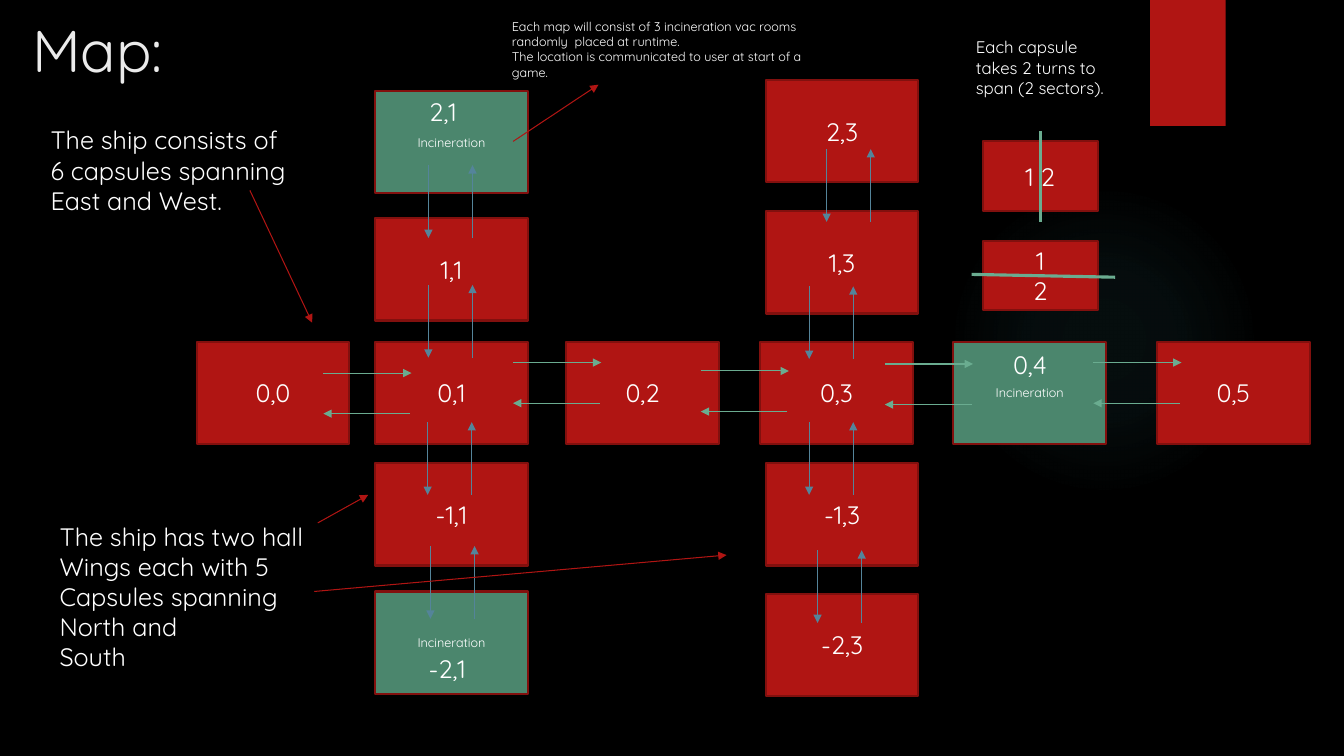
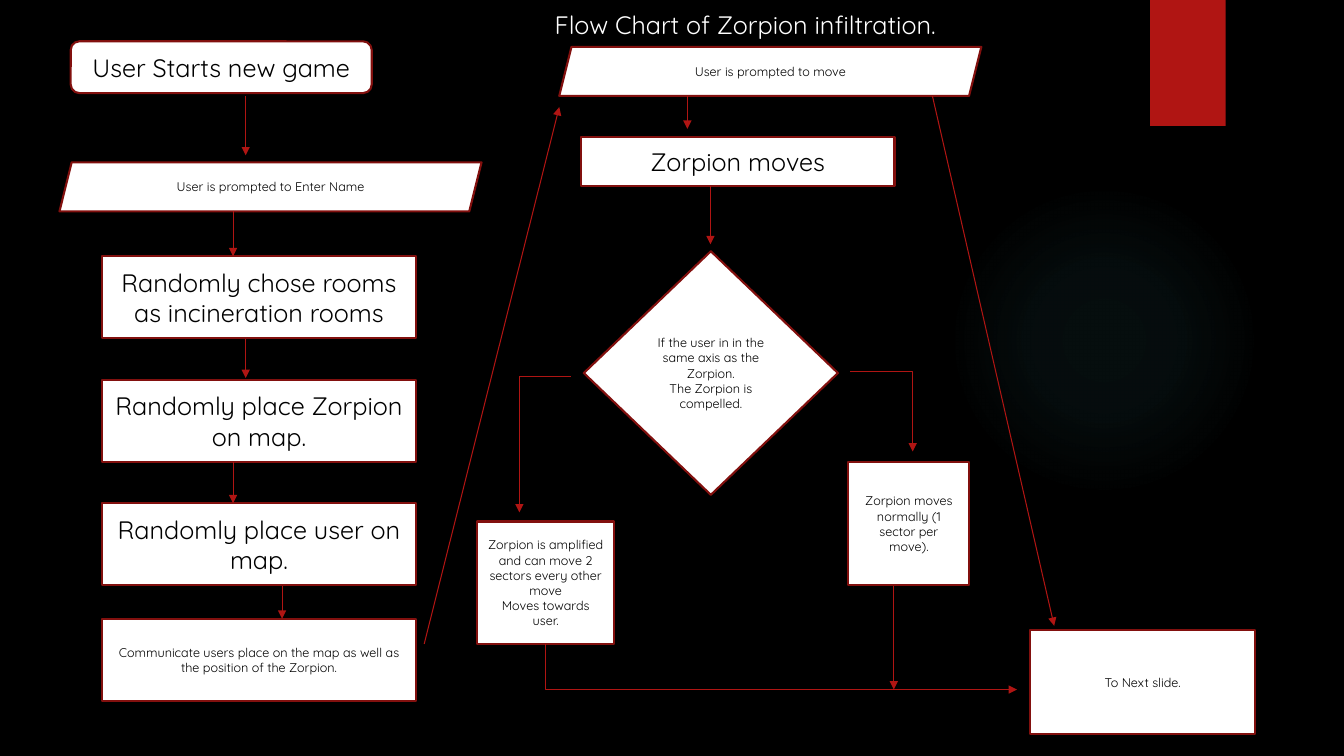
"""Build the ship map slide and the infiltration flow chart slide."""
from lxml import etree
from pptx import Presentation
from pptx.dml.color import RGBColor
from pptx.enum.shapes import MSO_CONNECTOR, MSO_SHAPE
from pptx.enum.text import MSO_ANCHOR, MSO_AUTO_SIZE, PP_ALIGN
from pptx.oxml import parse_xml
from pptx.oxml.ns import nsdecls, qn
from pptx.util import Pt

BLACK = RGBColor(0x00, 0x00, 0x00)
WHITE = RGBColor(0xFF, 0xFF, 0xFF)
TITLE_GREY = RGBColor(0xEB, 0xEB, 0xEB)
RED = RGBColor(0xB0, 0x15, 0x13)
DARK_RED = RGBColor(0x82, 0x10, 0x0E)
GREEN = RGBColor(0x4B, 0x86, 0x6D)
MINT = RGBColor(0x6A, 0xAC, 0x90)
BLUE = RGBColor(0x54, 0x84, 0x9A)
GLOW = RGBColor(0x50, 0xB9, 0xC1)
GLOW_STOPS = ((0, 7), (36, 6), (69, 0))

FONT = "Quicksand"
LARGE, MEDIUM, SMALL = 18, 12, 9
RECT = MSO_SHAPE.RECTANGLE
ROUNDED = MSO_SHAPE.ROUNDED_RECTANGLE
SLANTED = MSO_SHAPE.PARALLELOGRAM
DIAMOND = MSO_SHAPE.DIAMOND
OVAL = MSO_SHAPE.OVAL
STRAIGHT, ELBOW = MSO_CONNECTOR.STRAIGHT, MSO_CONNECTOR.ELBOW
CENTER, LEFT = PP_ALIGN.CENTER, PP_ALIGN.LEFT
MIDDLE = MSO_ANCHOR.MIDDLE
GROW = MSO_AUTO_SIZE.SHAPE_TO_FIT_TEXT
BOTTOM_SIDE = 2

ROOM_SIZE = (109, 73)
HALL_TOP = 244
WEST_WING, EAST_WING = 268, 547
INCINERATION = "Incineration"
ROOMS = (
    ("0,0", 140.5, HALL_TOP), ("0,1", WEST_WING, HALL_TOP),
    ("0,2", 404.5, HALL_TOP), ("0,3", 543, HALL_TOP),
    (INCINERATION, 681, HALL_TOP), ("0,5", 826.5, HALL_TOP),
    (INCINERATION, WEST_WING, 65), ("1,1", WEST_WING, 156),
    ("-1,1", WEST_WING, 331), (INCINERATION, WEST_WING, 422.5),
    ("2,3", EAST_WING, 57), ("1,3", EAST_WING, 151),
    ("-1,3", EAST_WING, 331), ("-2,3", EAST_WING, 424),
)
ROOM_LABELS = (("0,4", 716.5, 246), ("2,1", 299.5, 65.5), ("-2,1", 299, 463))
VERTICAL_DOORS = (
    (306, 118), (306, 203.5), (305.5, 301.5), (307.5, 390),
    (590.5, 106.5), (578, 204.5), (578, 301.5), (584, 393),
)
HORIZONTAL_DOORS = ((231, 266.5), (366.5, 259), (500.5, 265), (632, 260), (781, 259))
MAP_POINTERS = (
    ((366.5, 101), (427.5, 60.5)), ((178.5, 136), (223, 230.5)),
    ((227, 373.5), (263, 353.5)), ((224.5, 422.5), (519, 396.5)),
)
MAP_NOTES = (
    ("The ship consists of\n6 capsules spanning\nEast and West.", (29, 85.5, 198, 94), LARGE),
    ("Each map will consist of 3 incineration vac rooms randomly  placed at runtime.\n"
     "The location is communicated to user at start of a game.", (358.5, 10, 242.5, 51), SMALL),
    ("The ship has two hall\nWings each with 5\nCapsules spanning\nNorth and\nSouth",
     (35.5, 368.5, 481, 117), LARGE),
    ("Each capsule takes 2 turns to span (2 sectors).", (690, 23, 119.5, 51), MEDIUM),
)
SECTORS = (("1 2", 101, (743, 93.5), (743, 158.5)), ("1\n2", 172, (694, 196), (796.5, 198)))

STEPS = (
    (ROUNDED, "User Starts new game", (50.5, 29.5, 215, 37), LARGE),
    (SLANTED, "User is prompted to Enter Name", (42.5, 116, 301.5, 35), SMALL),
    (RECT, "Randomly chose rooms as incineration rooms", (73, 183, 224, 58.5), LARGE),
    (RECT, "Randomly place Zorpion on map.", (73, 271.5, 224, 58.5), LARGE),
    (RECT, "Randomly place user on map.", (73, 359.5, 224, 58.5), LARGE),
    (RECT, "Communicate users place on the map as well as the position of the Zorpion.",
     (73, 442, 224, 58.5), SMALL),
    (SLANTED, "User is prompted to move", (399.5, 33.5, 301.5, 35), SMALL),
    (RECT, "Zorpion moves", (415, 98, 224, 35), LARGE),
    (DIAMOND, "If the user in in the same axis as the Zorpion.\nThe Zorpion is compelled.",
     (417, 179.5, 181.5, 174), SMALL),
    (RECT, "Zorpion moves normally (1 sector per move).", (606, 330, 86.5, 88), SMALL),
    (RECT, "To Next slide.", (736, 450, 160.5, 74.5), SMALL),
)
AMPLIFIED = "Zorpion is amplified and can move 2 sectors every other move\nMoves towards user."
FLOW_ARROWS = (
    ((175.5, 68.5), (175.5, 111)), ((166.5, 150.5), (166.5, 183)),
    ((175.5, 242), (175.5, 270)), ((166.5, 330), (166.5, 359.5)),
    ((201.5, 418.5), (201.5, 442)), ((303, 460), (399.5, 76.5)),
    ((491, 68.5), (491, 92)), ((507.5, 133), (507.5, 174.5)),
    ((638.5, 418.5), (638.5, 492.5)), ((666, 68.5), (753, 447)),
)


def points(*values):
    """Convert numbers to point lengths."""
    return [Pt(value) for value in values]


def write(shape, text, size, color, align):
    """Fill a shape with text in one style."""
    shape.text_frame.text = text
    for para in shape.text_frame.paragraphs:
        para.alignment = align
        for span in para.runs:
            span.font.name = FONT
            span.font.size = Pt(size)
            span.font.color.rgb = color


def add_text(page, text, frame, size, color=WHITE, wrap=True):
    """Add a left-aligned text box."""
    box = page.shapes.add_textbox(*points(*frame))
    box.text_frame.word_wrap = wrap
    box.text_frame.auto_size = GROW
    write(box, text, size, color, LEFT)


def add_box(page, kind, text, frame, size, fill, color):
    """Add a dark-red outlined shape with centred text."""
    box = page.shapes.add_shape(kind, *points(*frame))
    box.shadow.inherit = False
    box.fill.solid()
    box.fill.fore_color.rgb = fill
    box.line.color.rgb = DARK_RED
    box.line.width = Pt(1.5)
    box.text_frame.vertical_anchor = MIDDLE
    write(box, text, size, color, CENTER)
    return box


def add_line(page, start, end, color, width=0.75, arrow=True, kind=STRAIGHT):
    """Add a connector, by default with an arrowhead at its end."""
    line = page.shapes.add_connector(kind, *points(*start, *end))
    line.line.color.rgb = color
    line.line.width = Pt(width)
    if arrow:
        etree.SubElement(line.line._get_or_add_ln(), qn("a:tailEnd"), type="triangle")
    etree.SubElement(line._element.spPr, qn("a:effectLst"))
    return line


def add_elbow(page, start, end, preset="bentConnector3", source=None):
    """Add a red bent arrow between two points, turned by a quarter."""
    line = add_line(page, start, end, RED, kind=ELBOW)
    if source is not None:
        line.begin_connect(source, BOTTOM_SIDE)
    across, down = abs(end[0] - start[0]), end[1] - start[1]
    middle_x, middle_y = (start[0] + end[0]) / 2, (start[1] + end[1]) / 2
    line.left, line.top = points(middle_x - down / 2, middle_y - across / 2)
    line.width, line.height = points(down, across)
    rightward = end[0] > start[0]
    transform = line._element.spPr.find(qn("a:xfrm"))
    transform.set("rot", "16200000" if rightward else "5400000")
    transform.set("flipH", "1" if rightward else "0")
    geometry = line._element.spPr.find(qn("a:prstGeom"))
    geometry.set("prst", preset)
    if preset == "bentConnector3":
        adjustments = geometry.find(qn("a:avLst"))
        if adjustments is None:
            adjustments = etree.SubElement(geometry, qn("a:avLst"))
        etree.SubElement(adjustments, qn("a:gd"), name="adj1", fmla="val 0")


def add_page(deck):
    """Add a blank page with the shared glow and red band."""
    page = deck.slides.add_slide(deck.slide_layouts[6])
    glow = page.shapes.add_shape(OVAL, *points(677.5, 132, 222, 222))
    band = page.shapes.add_shape(RECT, *points(821.5, 0, 54, 90))
    for shape in (glow, band):
        shape.shadow.inherit = False
        shape.line.fill.background()
    band.fill.solid()
    band.fill.fore_color.rgb = RED
    stops = "".join(
        f'<a:gs pos="{place * 1000}"><a:srgbClr val="{GLOW}">'
        f'<a:alpha val="{alpha * 1000}"/></a:srgbClr></a:gs>'
        for place, alpha in GLOW_STOPS)
    gradient = parse_xml(
        f'<a:gradFill {nsdecls("a")}><a:gsLst>{stops}</a:gsLst><a:path path="circle">'
        '<a:fillToRect l="50000" t="50000" r="50000" b="50000"/></a:path></a:gradFill>')
    glow._element.spPr.find(qn("a:prstGeom")).addnext(gradient)
    return page


def add_doors(page):
    """Add the opposite arrow pairs between neighbouring rooms."""
    for x, y in VERTICAL_DOORS:
        add_line(page, (x, y), (x, y + 52), BLUE)
        add_line(page, (x + 31.5, y + 52), (x + 31.5, y), BLUE)
    for x, y in HORIZONTAL_DOORS:
        add_line(page, (x, y), (x + 63, y), MINT)
        add_line(page, (x + 62, y + 29), (x, y + 29), MINT)


def build_map(deck):
    """Build the map of rooms and passages."""
    page = add_page(deck)
    add_text(page, "Map:", (16, 6, 741, 110), 42, TITLE_GREY)
    for text, x, y in ROOMS:
        burning = text == INCINERATION
        add_box(page, RECT, text, (x, y, *ROOM_SIZE), SMALL if burning else LARGE,
                GREEN if burning else RED, WHITE)
    add_doors(page)
    for start, end in MAP_POINTERS:
        add_line(page, start, end, RED)
    for text, frame, size in MAP_NOTES:
        add_text(page, text, frame, size)
    for text, x, y in ROOM_LABELS:
        add_text(page, text, (x, y, 40 if len(text) == 3 else 46, 29), LARGE, wrap=False)
    for text, top, start, end in SECTORS:
        add_box(page, RECT, text, (702, top, 82, 49.5), LARGE, RED, WHITE)
        add_line(page, start, end, MINT, 2.25, arrow=False)


def build_flow_chart(deck):
    """Build the flow chart of the infiltration."""
    page = add_page(deck)
    for kind, text, frame, size in STEPS:
        add_box(page, kind, text, frame, size, WHITE, BLACK)
    amplified = add_box(page, RECT, AMPLIFIED, (341, 372.5, 97.5, 87.5), SMALL, WHITE, BLACK)
    for start, end in FLOW_ARROWS:
        add_line(page, start, end, RED)
    add_elbow(page, (407.5, 269), (371, 366))
    add_elbow(page, (607.5, 265.5), (652, 322.5))
    add_elbow(page, (389.75, 460), (726.5, 492.5), "bentConnector2", amplified)
    add_text(page, "Flow Chart of Zorpion infiltration.", (389, 3, 298, 29), LARGE, wrap=False)


def main():
    """Create and save the deck."""
    deck = Presentation()
    deck.slide_width, deck.slide_height = points(960, 540)
    background = deck.slide_master.background.fill
    background.solid()
    background.fore_color.rgb = BLACK
    build_map(deck)
    build_flow_chart(deck)
    deck.save("out.pptx")


if __name__ == "__main__":
    main()
